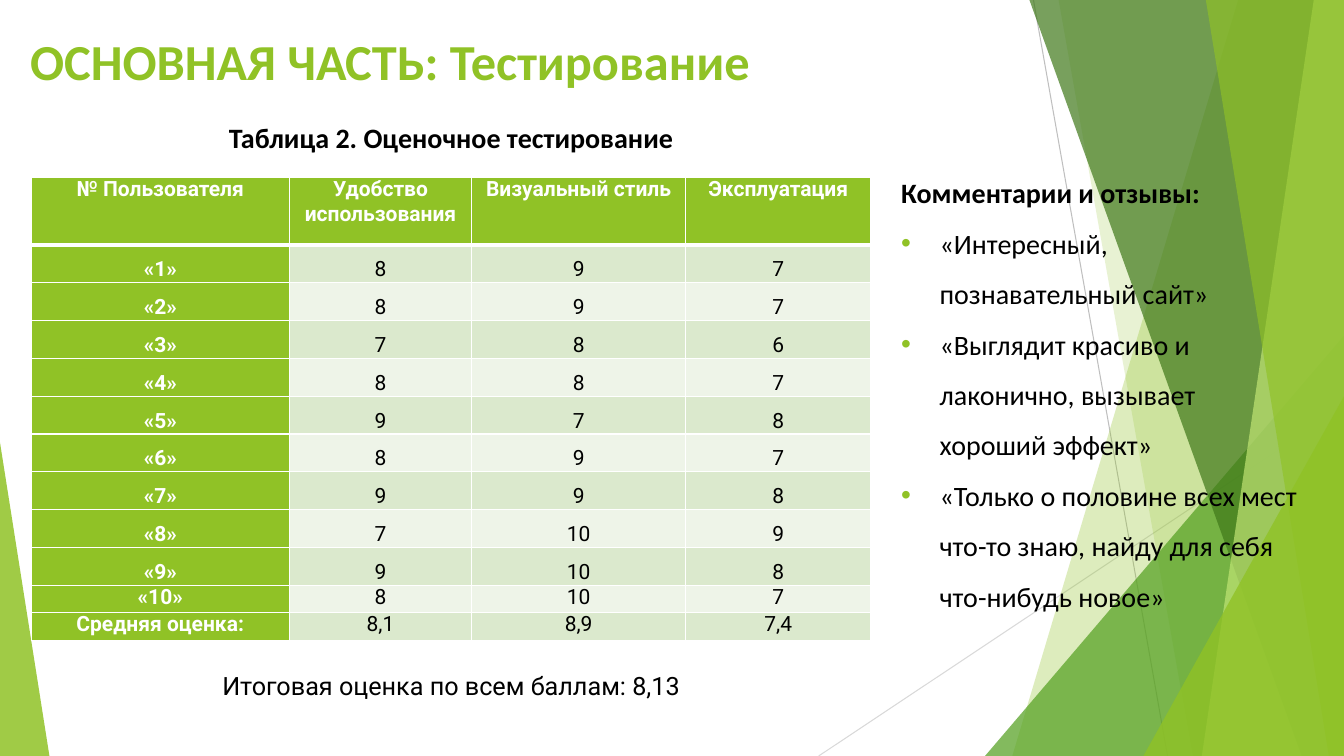
import lxml.etree
import pptx
import pptx.dml.color
import pptx.enum.shapes
import pptx.enum.text
import pptx.oxml
import pptx.oxml.ns
import pptx.util

Inches = pptx.util.Inches
Pt = pptx.util.Pt
RGBColor = pptx.dml.color.RGBColor
qn = pptx.oxml.ns.qn
CENTER = pptx.enum.text.PP_ALIGN.CENTER
MIDDLE = pptx.enum.text.MSO_ANCHOR.MIDDLE
TOP = pptx.enum.text.MSO_ANCHOR.TOP

LIME = RGBColor(0x90, 0xC2, 0x26)
GREEN = RGBColor(0x54, 0xA0, 0x21)
FOREST = RGBColor(0x3F, 0x78, 0x19)
PALE_LIME = RGBColor(0xC0, 0xE4, 0x74)
BAND_DARK = RGBColor(0xDB, 0xE9, 0xCD)
BAND_LIGHT = RGBColor(0xEE, 0xF4, 0xE8)
GREY = RGBColor(0xBF, 0xBF, 0xBF)
LIGHT_GREY = RGBColor(0xD9, 0xD9, 0xD9)
WHITE = RGBColor(0xFF, 0xFF, 0xFF)
BLACK = RGBColor(0, 0, 0)

WIDTH, HEIGHT = 13.33, 7.5

HEADER = ["№ Пользователя", "Удобство использования", "Визуальный стиль", "Эксплуатация"]
SCORES = [
    (8, 9, 7), (8, 9, 7), (7, 8, 6), (8, 8, 7), (9, 7, 8),
    (8, 9, 7), (9, 9, 8), (7, 10, 9), (9, 10, 8), (8, 10, 7),
]
AVERAGES = ["Средняя оценка:", "8,1", "8,9", "7,4"]
COLUMN_WIDTHS = [2.56, 1.81, 2.12, 1.84]
ROW_HEIGHTS = [0.67] + [0.37] * 9 + [0.27, 0.28]
REVIEWS = [
    "«Интересный, познавательный сайт»",
    "«Выглядит красиво и лаконично, вызывает хороший эффект»",
    "«Только о половине всех мест что-то знаю, найду для себя что-нибудь новое»",
]


class SlideBuilder:
    heading_font = "Calibri"
    table_font = "Roboto"

    def __init__(self, slide):
        self.slide = slide
        self.shapes = slide.shapes

    def line(self, start, end, color):
        x1, y1, x2, y2 = map(Inches, start + end)
        ray = self.shapes.add_connector(
            pptx.enum.shapes.MSO_CONNECTOR.STRAIGHT, x1, y1, x2, y2)
        ray.line.color.rgb = color
        ray.line.width = Pt(0.75)
        lxml.etree.SubElement(ray.element.spPr, qn("a:effectLst"))

    def paint(self, shape, color, opacity):
        """Fill without outline or shadow; opacity is in percent."""
        shape.shadow.inherit = False
        shape.fill.solid()
        shape.fill.fore_color.rgb = color
        shape.line.fill.background()
        rgb = shape.element.spPr.find(qn("a:solidFill")).find(qn("a:srgbClr"))
        lxml.etree.SubElement(rgb, qn("a:alpha")).set("val", str(opacity * 1000))

    def edge_facet(self, top, bottom, color, opacity):
        """Draw a facet from the given top and bottom x to the right slide edge."""
        corners = [(WIDTH, 0), (WIDTH, HEIGHT), (bottom, HEIGHT)]
        outline = self.shapes.build_freeform(Inches(top), 0)
        outline.add_line_segments([(Inches(x), Inches(y)) for x, y in corners], close=True)
        self.paint(outline.convert_to_shape(), color, opacity)

    def triangle(self, left, top, width, height, apex, color, opacity):
        facet = self.shapes.add_shape(
            pptx.enum.shapes.MSO_SHAPE.ISOSCELES_TRIANGLE,
            Inches(left), Inches(top), Inches(width), Inches(height))
        facet.adjustments[0] = apex
        self.paint(facet, color, opacity)

    def add_text(self, paragraph, text, font, size, color=BLACK, bold=False):
        run = paragraph.add_run()
        run.text = text
        run.font.name = font
        run.font.size = Pt(size)
        run.font.bold = bold
        run.font.color.rgb = color

    def text_frame(self, left, top, width, height, anchor=TOP):
        frame = self.shapes.add_textbox(
            Inches(left), Inches(top), Inches(width), Inches(height)).text_frame
        frame.word_wrap = True
        frame.vertical_anchor = anchor
        return frame

    def caption(self, top, height, text, font, size, bold=False):
        paragraph = self.text_frame(0.31, top, 8.33, height).paragraphs[0]
        paragraph.alignment = CENTER
        self.add_text(paragraph, text, font, size, bold=bold)

    def bullet(self, paragraph, color):
        props = paragraph._p.get_or_add_pPr()
        props.set("marL", str(Inches(0.38)))
        props.set("indent", str(-Inches(0.38)))
        bullet_color = lxml.etree.SubElement(props, qn("a:buClr"))
        lxml.etree.SubElement(bullet_color, qn("a:srgbClr")).set("val", str(color))
        lxml.etree.SubElement(props, qn("a:buFont")).set("typeface", "Arial")
        lxml.etree.SubElement(props, qn("a:buChar")).set("char", "•")

    def cell_borders(self, cell, top, bottom):
        props = cell._tc.get_or_add_tcPr()
        for tag, points in (("lnL", 1), ("lnR", 1), ("lnT", top), ("lnB", bottom)):
            border = lxml.etree.SubElement(props, qn("a:" + tag))
            border.set("w", str(Pt(points)))
            fill = lxml.etree.SubElement(border, qn("a:solidFill"))
            lxml.etree.SubElement(fill, qn("a:srgbClr")).set("val", str(WHITE))

    def score_table(self, rows):
        table = self.shapes.add_table(
            len(rows), len(COLUMN_WIDTHS), Inches(0.31), Inches(1.76),
            Inches(sum(COLUMN_WIDTHS)), Inches(sum(ROW_HEIGHTS))).table
        table.horz_banding = False
        for column, width in zip(table.columns, COLUMN_WIDTHS):
            column.width = Inches(width)
        for r, values in enumerate(rows):
            table.rows[r].height = Inches(ROW_HEIGHTS[r])
            for c, value in enumerate(values):
                cell = table.cell(r, c)
                label = r == 0 or c == 0
                cell.margin_left = cell.margin_right = Inches(0.08)
                cell.margin_top = cell.margin_bottom = 0
                self.cell_borders(cell, 3 if r == 1 else 1, 3 if r == 0 else 1)
                cell.fill.solid()
                cell.fill.fore_color.rgb = (
                    LIME if label else BAND_DARK if r % 2 else BAND_LIGHT)
                paragraph = cell.text_frame.paragraphs[0]
                paragraph.alignment = CENTER
                if 1 <= r <= 9:
                    paragraph.line_spacing = 1.5
                self.add_text(paragraph, str(value), self.table_font, 15,
                              WHITE if label else BLACK, label)

    def comments(self, heading, reviews):
        frame = self.text_frame(8.84, 1.53, 4.19, 4.59)
        frame.paragraphs[0].line_spacing = 1.5
        self.add_text(frame.paragraphs[0], heading, self.heading_font, 20, bold=True)
        for review in reviews:
            paragraph = frame.add_paragraph()
            self.bullet(paragraph, LIME)
            paragraph.line_spacing = 1.5
            self.add_text(paragraph, review, self.heading_font, 20)


def main():
    deck = pptx.Presentation()
    deck.slide_width, deck.slide_height = Inches(WIDTH), Inches(HEIGHT)
    page = SlideBuilder(deck.slides.add_slide(deck.slide_layouts[6]))

    page.line((10.25, 0), (11.58, HEIGHT), GREY)
    page.line((WIDTH, 4.03), (8.12, HEIGHT), LIGHT_GREY)
    page.edge_facet(12.28, 10.04, LIME, 30)
    page.edge_facet(10.5, 11.83, LIME, 20)
    page.triangle(9.77, 3.33, 3.56, 4.17, 1, GREEN, 72)
    page.edge_facet(10.21, 12.91, FOREST, 70)
    page.edge_facet(13.03, 11.92, PALE_LIME, 70)
    page.edge_facet(11.96, 13.18, LIME, 65)
    page.triangle(11.34, 3.93, 1.99, 3.57, 1, LIME, 80)
    page.triangle(0, 4.39, 0.49, 3.11, 0, LIME, 85)

    title = page.text_frame(0.2, 0.21, 7.36, 0.77, MIDDLE).paragraphs[0]
    page.add_text(title, "ОСНОВНАЯ ЧАСТЬ: Тестирование", page.heading_font, 36, LIME, True)
    page.caption(1.15, 0.44, "Таблица 2. Оценочное тестирование",
                 page.heading_font, 20, bold=True)
    users = [(f"«{number}»", *scores) for number, scores in enumerate(SCORES, 1)]
    page.score_table([HEADER, *users, AVERAGES])
    page.caption(6.6, 0.4, "Итоговая оценка по всем баллам: 8,13", page.table_font, 18)
    page.comments("Комментарии и отзывы:", REVIEWS)

    deck.save("out.pptx")


if __name__ == "__main__":
    main()
